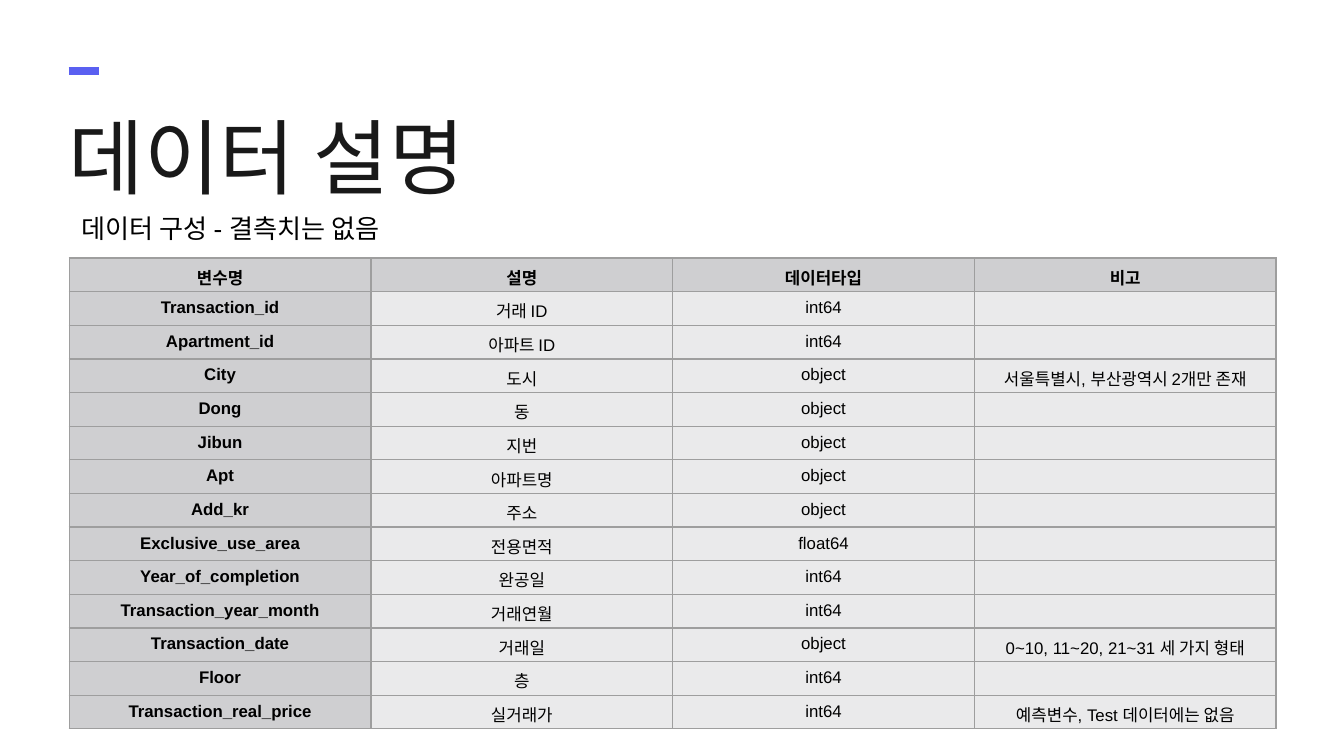
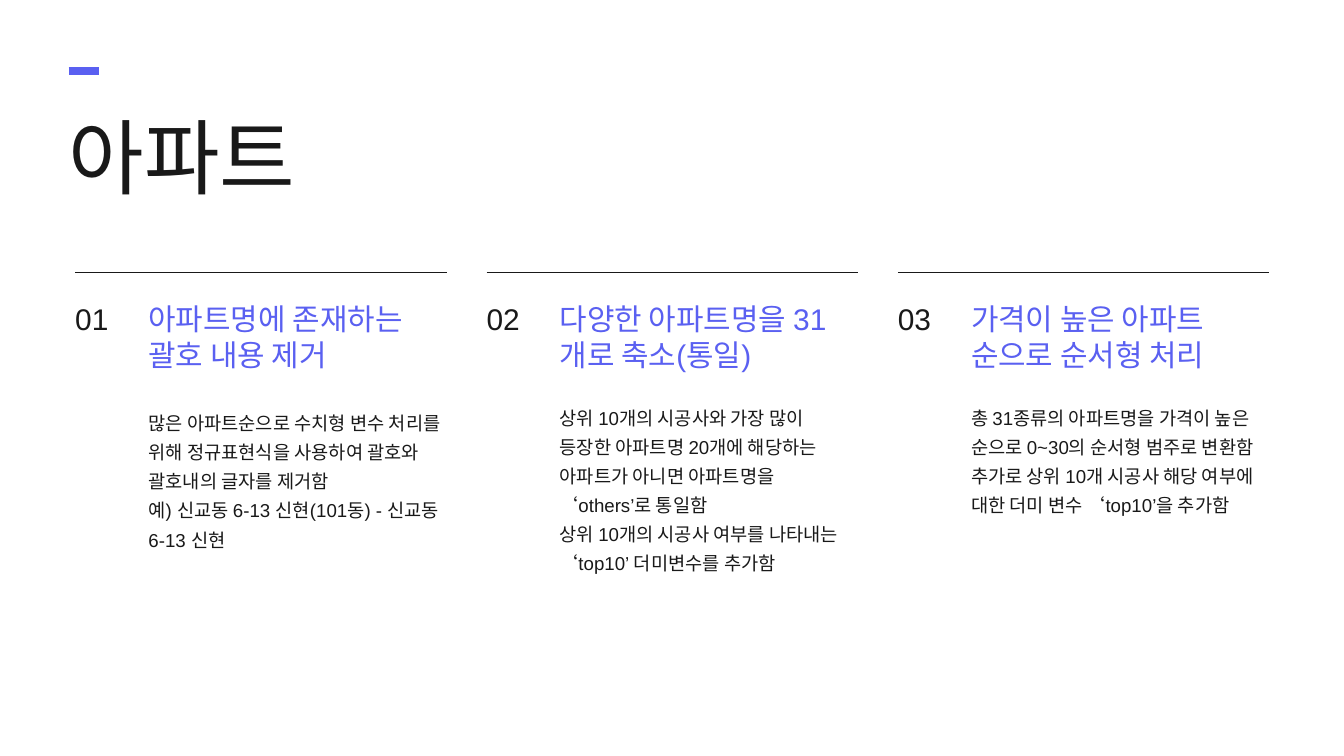
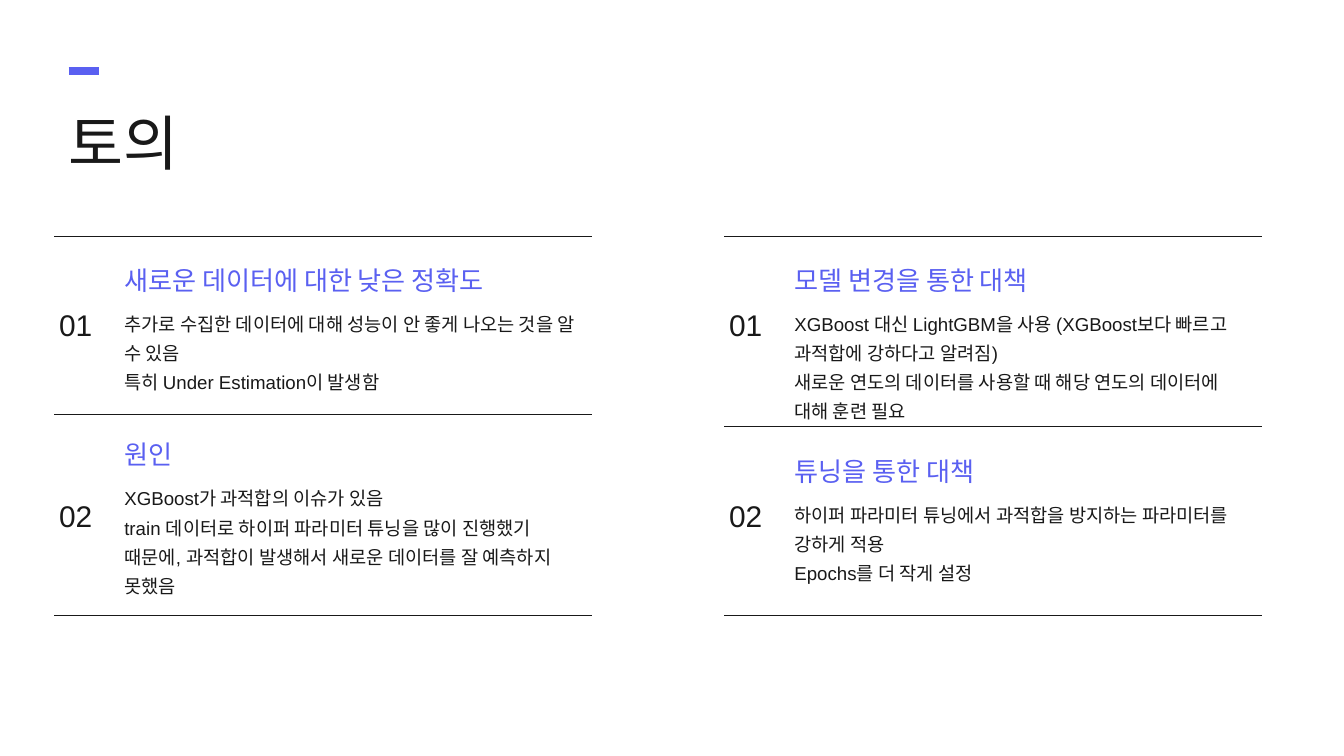
import pptx
import pptx.dml.color
import pptx.enum.shapes
import pptx.enum.text
import pptx.oxml
import pptx.oxml.ns
import pptx.util
from lxml import etree

RGBColor = pptx.dml.color.RGBColor
ACCENT = RGBColor(0x5A, 0x60, 0xF1)
INK = RGBColor(0x19, 0x19, 0x19)
BLACK = RGBColor(0, 0, 0)
CELL_GRAY = RGBColor(0xCF, 0xCF, 0xD1)
BORDER_GRAY = "9E9E9E"
FONT = "Arial"
EMU_PER_PX = 9144  # 100 px to the inch


def px(length):
    return pptx.util.Emu(length * EMU_PER_PX)


def write_text(frame, text, size=20, color=INK, bold=False, align=None, spacing=None):
    """Fill a text frame; each line of the text becomes a paragraph."""
    for index, line in enumerate(text.split("\n")):
        paragraph = frame.paragraphs[0] if index == 0 else frame.add_paragraph()
        paragraph.alignment = align
        paragraph.line_spacing = spacing
        run = paragraph.add_run()
        run.text = line
        run.font.name = FONT
        run.font.size = pptx.util.Pt(size)
        run.font.bold = bold
        run.font.color.rgb = color


class Deck:
    def __init__(self):
        self.presentation = pptx.Presentation()
        self.presentation.slide_width = px(2000)
        self.presentation.slide_height = px(1125)
        self.slide = None

    def new_slide(self, title, size=88):
        self.slide = self.presentation.slides.add_slide(self.presentation.slide_layouts[6])
        self.text(title, 102, 158, 675, 148 if size > 64 else 108, size=size)
        self.line(102, 106, 46, color=ACCENT, weight=8)

    def text(self, text, left, top, width, height, inset=0, **style):
        shape = self.slide.shapes.add_textbox(px(left), px(top), px(width), px(height))
        frame = shape.text_frame
        frame.word_wrap = True
        frame.auto_size = pptx.enum.text.MSO_AUTO_SIZE.SHAPE_TO_FIT_TEXT
        frame.margin_left = frame.margin_right = px(inset)
        frame.margin_top = frame.margin_bottom = px(inset)
        write_text(frame, text, **style)

    def line(self, left, top, width, color=INK, weight=1):
        connector = self.slide.shapes.add_connector(
            pptx.enum.shapes.MSO_CONNECTOR.STRAIGHT,
            px(left), px(top), px(left + width), px(top))
        connector.line.color.rgb = color
        connector.line.width = pptx.util.Pt(weight)
        properties = connector._element.spPr
        etree.SubElement(properties, pptx.oxml.ns.qn("a:effectLst"))

    def table(self, rows, left, top, column_width, row_height):
        columns = len(rows[0])
        table = self.slide.shapes.add_table(
            len(rows), columns, px(left), px(top),
            px(column_width * columns), px(row_height * len(rows))).table
        table.first_row = table.horz_banding = False
        for column in table.columns:
            column.width = px(column_width)
        for row_index, row in enumerate(rows):
            table.rows[row_index].height = px(row_height)
            for column_index, text in enumerate(row):
                is_header = row_index == 0 or column_index == 0
                self.cell(table.cell(row_index, column_index), text, is_header)

    def cell(self, cell, text, is_header):
        cell.margin_left = cell.margin_right = px(10)
        cell.margin_top = cell.margin_bottom = px(10)
        if text:
            write_text(cell.text_frame, text, size=18, color=BLACK, bold=is_header,
                       align=pptx.enum.text.PP_ALIGN.CENTER)
        properties = cell._tc.get_or_add_tcPr()
        for side in ("lnL", "lnR", "lnT", "lnB"):
            properties.append(pptx.oxml.parse_xml(
                f'<a:{side} {pptx.oxml.ns.nsdecls("a")} w="19050"><a:solidFill>'
                f'<a:srgbClr val="{BORDER_GRAY}"/></a:solidFill></a:{side}>'))
        cell.fill.solid()
        cell.fill.fore_color.rgb = CELL_GRAY
        if not is_header:
            color = properties.find("a:solidFill/a:srgbClr", pptx.oxml.ns._nsmap)
            etree.SubElement(color, pptx.oxml.ns.qn("a:alpha")).set("val", "42000")


VARIABLES = [
    ("변수명", "설명", "데이터타입", "비고"),
    ("Transaction_id", "거래 ID", "int64", ""),
    ("Apartment_id", "아파트 ID", "int64", ""),
    ("City", "도시", "object", "서울특별시, 부산광역시 2개만 존재"),
    ("Dong", "동", "object", ""),
    ("Jibun", "지번", "object", ""),
    ("Apt", "아파트명", "object", ""),
    ("Add_kr", "주소", "object", ""),
    ("Exclusive_use_area", "전용면적", "float64", ""),
    ("Year_of_completion", "완공일", "int64", ""),
    ("Transaction_year_month", "거래연월", "int64", ""),
    ("Transaction_date", "거래일", "object", "0~10, 11~20, 21~31 세 가지 형태"),
    ("Floor", "층", "int64", ""),
    ("Transaction_real_price", "실거래가", "int64", "예측변수, Test 데이터에는 없음"),
]

# Heading, body top, body height, body
APARTMENT_STEPS = [
    ("아파트명에 존재하는 괄호 내용 제거", 603, 209,
     "많은 아파트순으로 수치형 변수 처리를 위해 정규표현식을 사용하여 괄호와 괄호내의 글자를 제거함\n"
     "예) 신교동 6-13 신현(101동) - 신교동 6-13 신현"),
    ("다양한 아파트명을 31개로 축소(통일)", 595, 296,
     "상위 10개의 시공사와 가장 많이 등장한 아파트명 20개에 해당하는 아파트가 아니면 "
     "아파트명을 ‘others’로 통일함\n"
     "상위 10개의 시공사 여부를 나타내는 ‘top10’ 더미변수를 추가함"),
    ("가격이 높은 아파트 순으로 순서형 처리", 595, 253,
     "총 31종류의 아파트명을 가격이 높은 순으로 0~30의 순서형 범주로 변환함\n"
     "추가로 상위 10개 시공사 해당 여부에 대한 더미 변수 ‘top10’을 추가함"),
]

# Column left, middle line, then topics: heading top, body height, heading, body
DISCUSSION = [
    (81, 617, [
        (393, 121, "새로운 데이터에 대한 낮은 정확도",
         "추가로 수집한 데이터에 대해 성능이 안 좋게 나오는 것을 알 수 있음\n"
         "특히 Under Estimation이 발생함"),
        (653, 165, "원인",
         "XGBoost가 과적합의 이슈가 있음\n"
         "train 데이터로 하이퍼 파라미터 튜닝을 많이 진행했기 때문에, "
         "과적합이 발생해서 새로운 데이터를 잘 예측하지 못했음"),
    ]),
    (1078, 635, [
        (393, 165, "모델 변경을 통한 대책",
         "XGBoost 대신 LightGBM을 사용 (XGBoost보다 빠르고 과적합에 강하다고 알려짐)\n"
         "새로운 연도의 데이터를 사용할 때 해당 연도의 데이터에 대해 훈련 필요"),
        (677, 121, "튜닝을 통한 대책",
         "하이퍼 파라미터 튜닝에서 과적합을 방지하는 파라미터를 강하게 적용\n"
         "Epochs를 더 작게 설정"),
    ]),
]


def build_data_slide(deck):
    deck.new_slide("데이터 설명")
    deck.text("데이터 구성 - 결측치는 없음", 112, 306, 581, 67, inset=10, size=28, color=BLACK)
    deck.table(VARIABLES, 103, 384, column_width=449, row_height=44)


def build_apartment_slide(deck):
    deck.new_slide("아파트")
    for index, (heading, body_top, body_height, body) in enumerate(APARTMENT_STEPS):
        left = 112 + 612 * index
        deck.line(left, 406, 553)
        deck.text(f"{index + 1:02}", left, 448, 83, 54, size=32)
        deck.text(heading, left + 109, 447, 443, 108, size=32, color=ACCENT)
        deck.text(body, left + 109, body_top, 443, body_height, spacing=1.3)


def build_discussion_slide(deck):
    deck.new_slide("토의", size=64)
    for left, middle, topics in DISCUSSION:
        for top in (352, middle, 916):
            deck.line(left, top, 800)
        for index, (top, body_height, heading, body) in enumerate(topics):
            deck.text(f"{index + 1:02}", left + 7, 457 + 283 * index, 64, 54, size=32)
            deck.text(heading, left + 104, top, 682, 47, size=28, color=ACCENT)
            deck.text(body, left + 104, top + 62, 682, body_height, spacing=1.3)


def main():
    deck = Deck()
    build_data_slide(deck)
    build_apartment_slide(deck)
    build_discussion_slide(deck)
    deck.presentation.save("out.pptx")


if __name__ == "__main__":
    main()
